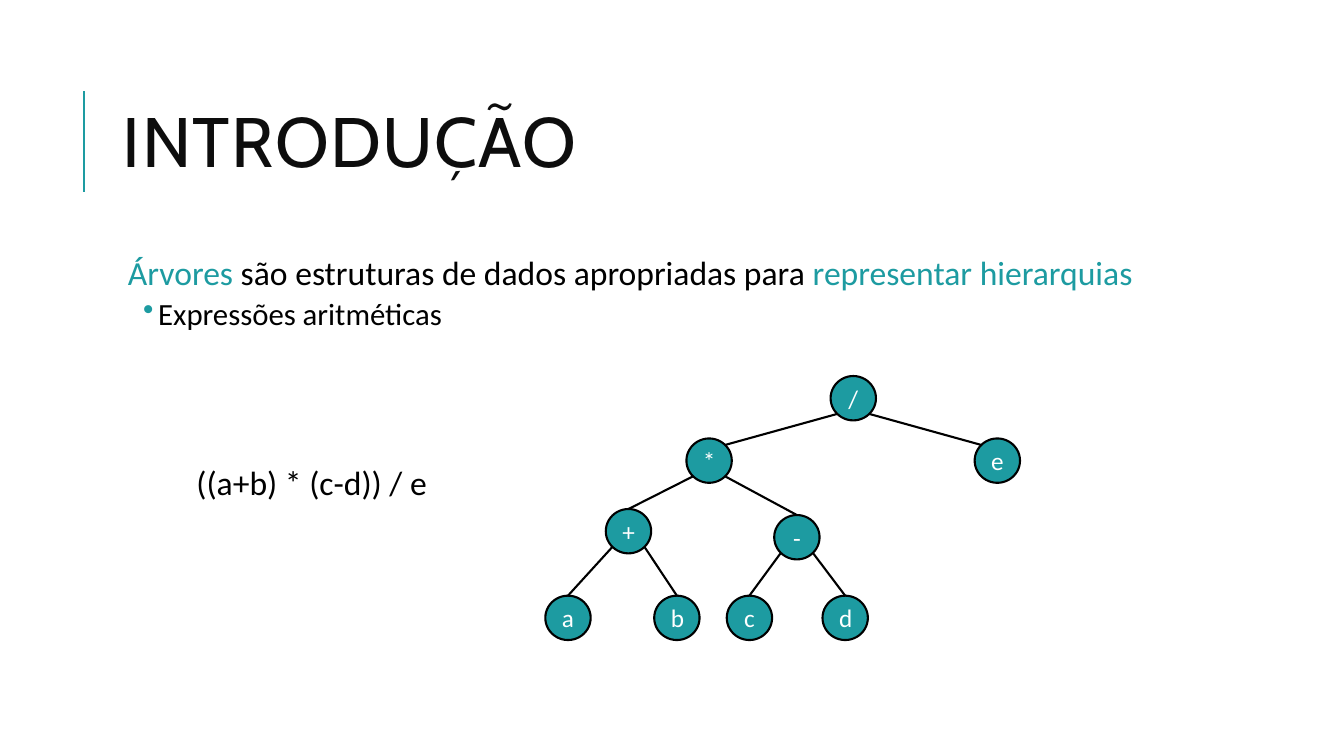
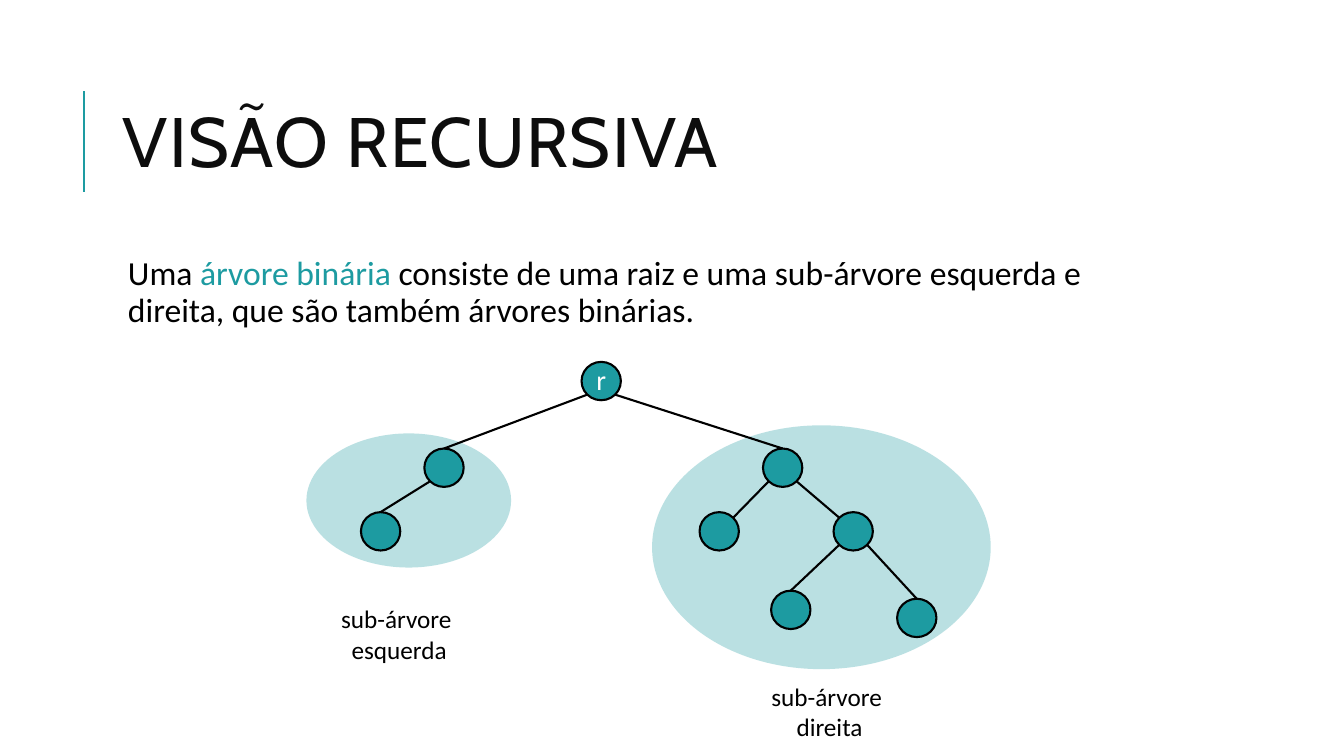
from dataclasses import dataclass

from lxml import etree
from pptx import Presentation
from pptx.dml.color import RGBColor
from pptx.enum.shapes import MSO_CONNECTOR, MSO_SHAPE
from pptx.enum.text import MSO_ANCHOR, MSO_AUTO_SIZE, PP_ALIGN
from pptx.oxml.ns import qn
from pptx.util import Pt


@dataclass(frozen=True)
class Theme:
    accent: RGBColor = RGBColor(0x1D, 0x9B, 0xA1)
    ink: RGBColor = RGBColor(0, 0, 0)
    title_ink: RGBColor = RGBColor(0x0D, 0x0D, 0x0D)
    node_ink: RGBColor = RGBColor(255, 255, 255)
    title_font: str = "Cabin"
    body_font: str = "Calibri"
    title_size: int = 50
    lead_size: int = 24
    bullet_size: int = 22
    root_size: int = 20
    small_size: int = 18
    line_width: float = 1.5
    subtree_opacity: int = 30


THEME = Theme()
TITLE_BOX = (80.64, 46.1, 765.4, 118.1)
BODY_BOX = (80.64, 180, 765.4, 316.8)
TITLE_RULE = (60, 136.8, 60, 64.8)
BODY_INSET = 3.6
DIAGONAL = 0.5 ** 0.5 / 2

SLIDES = [
    {
        "title": "INTRODUÇÃO",
        "lead": [("Árvores", True),
                 (" são estruturas de dados apropriadas para ", False),
                 ("representar hierarquias", True)],
        "bullets": ["Expressões aritméticas"],
        "subtrees": [],
        "node_size": (32.4, 31.7),
        "node_font_size": THEME.small_size,
        "node_insets": (7.2, 3.6, 7.2, 3.6),
        "nodes": {
            "divide": ("/", 593.3, 268.6),
            "e": ("e", 696.2, 313.2),
            "times": ("*", 490.3, 313.2),
            "plus": ("+", 432.7, 363.6),
            "minus": ("-", 553, 367.9),
            "a": ("a", 389.5, 425.5),
            "b": ("b", 467.3, 425.5),
            "c": ("c", 519.1, 425.5),
            "d": ("d", 587.5, 425.5),
        },
        "edges": [("divide", "times", "corner"), ("divide", "e", "corner"),
                  ("times", "plus", "top"), ("times", "minus", "top"),
                  ("plus", "a", "top"), ("plus", "b", "top"),
                  ("minus", "c", "top"), ("minus", "d", "top")],
        "labels": [(["((a+b) * (c-d)) / e"], (133.2, 326.2, 189.4, 36),
                    THEME.lead_size, PP_ALIGN.LEFT)],
    },
    {
        "title": "VISÃO RECURSIVA",
        "lead": [("Uma ", False), ("árvore binária ", True),
                 ("consiste de uma raiz e uma sub-árvore esquerda e direita, "
                  "que são também árvores binárias.", False)],
        "bullets": [],
        "subtrees": [(465.8, 303.8, 241.9, 174.2), (218.9, 309.6, 146.2, 95.8)],
        "node_size": (28.1, 27.4),
        "node_font_size": THEME.root_size,
        "node_insets": (0, 0, 0, 2.9),
        "nodes": {
            "root": ("r", 415.4, 258.5),
            "left": ("", 303.1, 320.4),
            "left_left": ("", 257.8, 365.8),
            "right": ("", 545, 320.4),
            "right_left": ("", 499.7, 365.8),
            "right_right": ("", 595.4, 365.8),
            "inner_left": ("", 550.8, 421.9),
            "inner_right": ("", 640.8, 427.7),
        },
        "edges": [("root", "left", "top"), ("root", "right", "top"),
                  ("left", "left_left", "top"),
                  ("right", "right_left", "corner"),
                  ("right", "right_right", "corner"),
                  ("right_right", "inner_left", "top"),
                  ("right_right", "inner_right", "top")],
        "labels": [(["sub-árvore ", "esquerda"], (235.4, 427.7, 99.4, 51.1),
                    THEME.small_size, PP_ALIGN.CENTER),
                   (["sub-árvore ", "direita"], (543.6, 483.1, 97.9, 51.1),
                    THEME.small_size, PP_ALIGN.CENTER)],
    },
]


def points(values):
    return [Pt(value) for value in values]


def set_font(font, name, size, color):
    font.name = name
    font.size = Pt(size)
    font.color.rgb = color


def set_insets(frame, insets):
    (frame.margin_left, frame.margin_top,
     frame.margin_right, frame.margin_bottom) = points(insets)


def set_spacing(paragraph, line, before, after):
    paragraph.line_spacing = line
    paragraph.space_before = Pt(before)
    paragraph.space_after = Pt(after)


def set_indent(paragraph, margin, indent):
    properties = paragraph._p.get_or_add_pPr()
    properties.set("marL", str(Pt(margin)))
    properties.set("indent", str(Pt(indent)))
    return properties


def add_line(shapes, start, end, color):
    connector = shapes.add_connector(
        MSO_CONNECTOR.STRAIGHT, *points(start), *points(end))
    connector.line.color.rgb = color
    connector.line.width = Pt(THEME.line_width)
    etree.SubElement(connector._element.spPr, qn("a:effectLst"))


def add_ellipse(shapes, box):
    shape = shapes.add_shape(MSO_SHAPE.OVAL, *points(box))
    shape.shadow.inherit = False
    shape.fill.solid()
    shape.fill.fore_color.rgb = THEME.accent
    return shape


def add_title(slide, text):
    title = slide.shapes.title
    title.left, title.top, title.width, title.height = points(TITLE_BOX)
    frame = title.text_frame
    frame.text = text
    frame.vertical_anchor = MSO_ANCHOR.MIDDLE
    paragraph = frame.paragraphs[0]
    paragraph.alignment = PP_ALIGN.LEFT
    paragraph.line_spacing = 0.8
    set_font(paragraph.font, THEME.title_font, THEME.title_size, THEME.title_ink)
    paragraph.runs[0]._r.get_or_add_rPr().set("spc", "100")
    add_line(slide.shapes, TITLE_RULE[:2], TITLE_RULE[2:], THEME.accent)


def add_body(slide, lead, bullets):
    frame = slide.shapes.add_textbox(*points(BODY_BOX)).text_frame
    frame.word_wrap = True
    set_insets(frame, [BODY_INSET] * 4)
    paragraph = frame.paragraphs[0]
    set_spacing(paragraph, 0.9, 12, 2)
    set_indent(paragraph, 7.2, 0)
    set_font(paragraph.font, THEME.body_font, THEME.lead_size, THEME.ink)
    for text, highlighted in lead:
        run = paragraph.add_run()
        run.text = text
        if highlighted:
            run.font.color.rgb = THEME.accent
    for text in bullets:
        paragraph = frame.add_paragraph()
        paragraph.text = text
        paragraph.level = 1
        set_spacing(paragraph, 0.9, 2, 4)
        properties = set_indent(paragraph, 28.8, -10.8)
        color = etree.SubElement(properties, qn("a:buClr"))
        etree.SubElement(color, qn("a:srgbClr"), val=str(THEME.accent))
        etree.SubElement(properties, qn("a:buChar"), char="•")
        set_font(paragraph.font, THEME.body_font, THEME.bullet_size, THEME.ink)


def add_subtree(shapes, box):
    shape = add_ellipse(shapes, box)
    shape.line.fill.background()
    color = shape._element.spPr.find(f"{qn('a:solidFill')}/{qn('a:srgbClr')}")
    etree.SubElement(color, qn("a:alpha"), val=str(THEME.subtree_opacity * 1000))


def add_node(shapes, content, text, left, top):
    shape = add_ellipse(shapes, (left, top, *content["node_size"]))
    shape.line.color.rgb = THEME.ink
    shape.line.width = Pt(THEME.line_width)
    if text:
        frame = shape.text_frame
        frame.text = text
        frame.vertical_anchor = MSO_ANCHOR.MIDDLE
        set_insets(frame, content["node_insets"])
        paragraph = frame.paragraphs[0]
        paragraph.alignment = PP_ALIGN.CENTER
        set_font(paragraph.font, THEME.body_font,
                 content["node_font_size"], THEME.node_ink)


def add_edge(shapes, content, parent, child, child_end):
    width, height = content["node_size"]
    (parent_x, parent_y), (child_x, child_y) = [
        (left + width / 2, top + height / 2)
        for _, left, top in (content["nodes"][parent], content["nodes"][child])]
    side = 1 if child_x > parent_x else -1
    across, down = side * width * DIAGONAL, height * DIAGONAL
    if child_end == "corner":
        end = (child_x - across, child_y - down)
    else:
        end = (child_x, child_y - height / 2)
    add_line(shapes, (parent_x + across, parent_y + down), end, THEME.ink)


def add_tree(slide, content):
    shapes = slide.shapes.add_group_shape().shapes
    for box in content["subtrees"]:
        add_subtree(shapes, box)
    for node in content["nodes"].values():
        add_node(shapes, content, *node)
    for edge in content["edges"]:
        add_edge(shapes, content, *edge)


def add_label(slide, lines, box, size, alignment):
    frame = slide.shapes.add_textbox(*points(box)).text_frame
    frame.word_wrap = False
    frame.auto_size = MSO_AUTO_SIZE.SHAPE_TO_FIT_TEXT
    frame.text = "\n".join(lines)
    for paragraph in frame.paragraphs:
        paragraph.alignment = alignment
        set_font(paragraph.font, THEME.body_font, size, THEME.ink)


def main():
    presentation = Presentation()
    presentation.slide_width, presentation.slide_height = Pt(960), Pt(540)
    for content in SLIDES:
        slide = presentation.slides.add_slide(presentation.slide_layouts[5])
        add_title(slide, content["title"])
        add_body(slide, content["lead"], content["bullets"])
        add_tree(slide, content)
        for label in content["labels"]:
            add_label(slide, *label)
    presentation.save("out.pptx")


if __name__ == "__main__":
    main()
